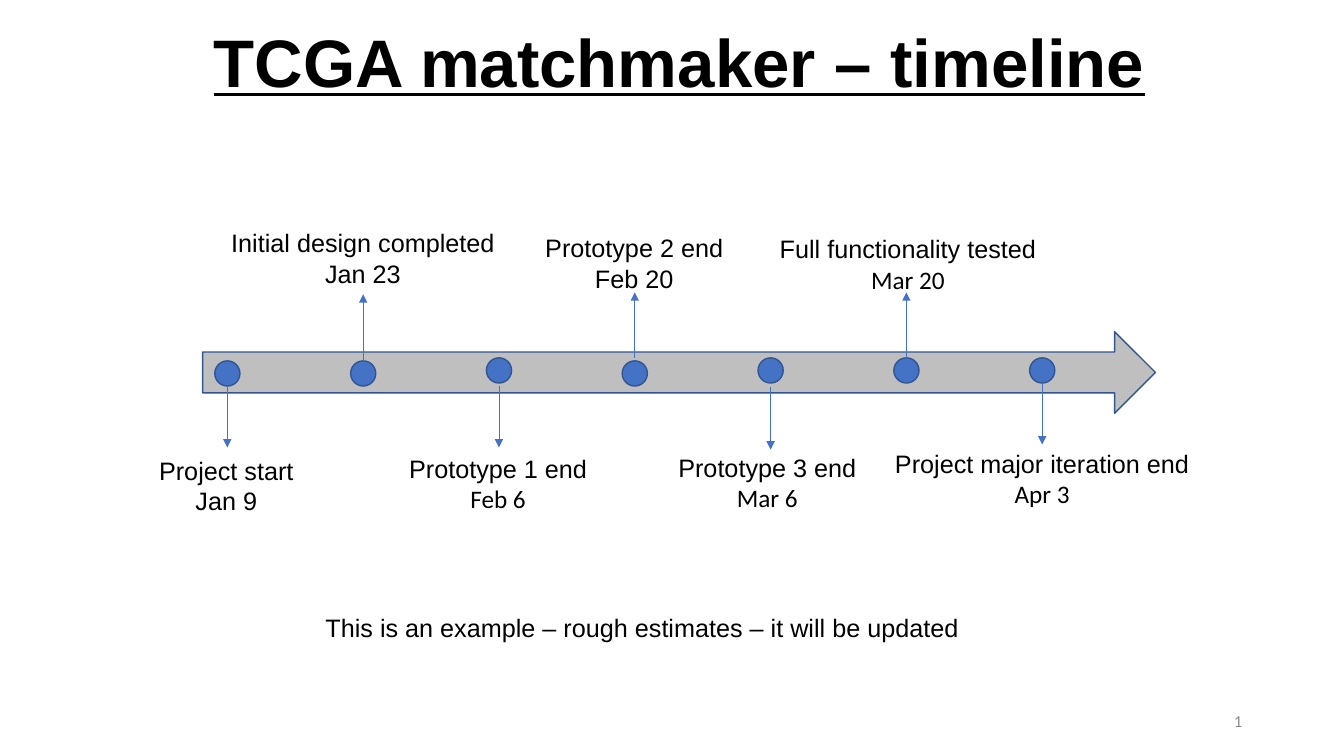
from lxml import etree
from pptx import Presentation
from pptx.dml.color import RGBColor
from pptx.enum.shapes import MSO_CONNECTOR, MSO_SHAPE
from pptx.enum.text import MSO_ANCHOR, MSO_AUTO_SIZE, PP_ALIGN
from pptx.oxml import parse_xml
from pptx.oxml.ns import nsdecls, qn
from pptx.util import Inches, Pt

BLACK = RGBColor(0x00, 0x00, 0x00)
GRAY = RGBColor(0x8C, 0x8C, 0x8C)
SILVER = RGBColor(0xBF, 0xBF, 0xBF)
BLUE = RGBColor(0x44, 0x72, 0xC4)
NAVY = RGBColor(0x32, 0x54, 0x91)

FIRST, STEP, DOT = 2.13, 1.347, 0.25

# label, date, date font, dot top, arrow start, arrow end, text box
STONES = [
    ("Project start", "Jan 9", "Arial", 3.58, 3.83, 4.44, (1.46, 4.47, 1.57, 0.71)),
    ("Initial design completed", "Jan 23", "Arial", 3.58, 3.58, 2.92, (2.15, 2.21, 2.9, 0.71)),
    ("Prototype 1 end", "Feb 6", "Calibri", 3.55, 3.83, 4.44, (3.95, 4.45, 1.98, 0.71)),
    ("Prototype 2 end", "Feb 20", "Arial", 3.58, 3.55, 2.9, (5.29, 2.26, 2, 0.71)),
    ("Prototype 3 end", "Mar 6", "Calibri", 3.55, 3.84, 4.46, (6.62, 4.44, 1.98, 0.71)),
    ("Full functionality tested", "Mar 20", "Calibri", 3.55, 3.55, 2.9, (7.61, 2.27, 2.79, 0.71)),
    ("Project major iteration end", "Apr 3", "Calibri", 3.55, 3.8, 4.41, (8.74, 4.4, 3.19, 0.71)),
]


def style(par, face, size, color, align):
    par.font.name = face
    par.font.size = Pt(size)
    par.font.color.rgb = color
    par.alignment = align


def set_title(slide, text, box):
    title = slide.shapes.title
    title.left, title.top, title.width, title.height = map(Inches, box)
    frame = title.text_frame
    frame.text = text
    frame.word_wrap = False
    frame.auto_size = MSO_AUTO_SIZE.NONE
    frame.vertical_anchor = MSO_ANCHOR.TOP
    par = frame.paragraphs[0]
    style(par, "Arial", 48, BLACK, PP_ALIGN.LEFT)
    par.font.bold = True
    par.font.underline = True


def add_text(slide, lines, box, align):
    frame = slide.shapes.add_textbox(*map(Inches, box)).text_frame
    frame.word_wrap = True
    frame.text = "\n".join(text for text, face in lines)
    for par, (text, face) in zip(frame.paragraphs, lines):
        style(par, face, 18, BLACK, align)


def add_number(slide, box):
    frame = slide.shapes.add_textbox(*map(Inches, box)).text_frame
    frame.vertical_anchor = MSO_ANCHOR.MIDDLE
    par = frame.paragraphs[0]
    style(par, "Calibri", 12, GRAY, PP_ALIGN.RIGHT)
    field = parse_xml(
        f'<a:fld {nsdecls("a")} id="{{B6F15528-21DE-4FAA-801E-634DDDAF4B2B}}" '
        'type="slidenum"><a:rPr lang="en-US" sz="1200"><a:solidFill>'
        f'<a:srgbClr val="{GRAY}"/></a:solidFill><a:latin typeface="Calibri"/>'
        '</a:rPr><a:t>1</a:t></a:fld>'
    )
    par._p.append(field)


def add_form(slide, kind, box, fill):
    form = slide.shapes.add_shape(kind, *map(Inches, box))
    form.shadow.inherit = False
    form.fill.solid()
    form.fill.fore_color.rgb = fill
    form.line.color.rgb = NAVY
    form.line.width = Pt(1)


def add_arrow(slide, x, start, end):
    arrow = slide.shapes.add_connector(
        MSO_CONNECTOR.STRAIGHT, Inches(x), Inches(start), Inches(x), Inches(end)
    )
    arrow.line.color.rgb = BLUE
    arrow.line.width = Pt(0.5)
    etree.SubElement(arrow.line._get_or_add_ln(), qn("a:tailEnd"), type="triangle")
    etree.SubElement(arrow._element.spPr, qn("a:effectLst"))


def main():
    deck = Presentation()
    deck.slide_width = Inches(13.33)
    deck.slide_height = Inches(7.5)
    slide = deck.slides.add_slide(deck.slide_layouts[5])
    set_title(slide, "TCGA matchmaker – timeline", (2.02, 0.15, 9.54, 0.91))
    add_number(slide, (9.42, 6.95, 3, 0.4))
    add_form(slide, MSO_SHAPE.RIGHT_ARROW, (2.01, 3.29, 9.45, 0.81), SILVER)
    for i, (label, date, face, top, start, end, box) in enumerate(STONES):
        left = FIRST + i * STEP
        add_form(slide, MSO_SHAPE.OVAL, (left, top, DOT, DOT), BLUE)
        add_arrow(slide, left + DOT / 2, start, end)
        add_text(slide, [(label, "Arial"), (date, face)], box, PP_ALIGN.CENTER)
    note = "This is an example – rough estimates – it will be updated"
    add_text(slide, [(note, "Arial")], (3.13, 6.03, 6.67, 0.4), PP_ALIGN.LEFT)
    deck.save("out.pptx")


if __name__ == "__main__":
    main()
